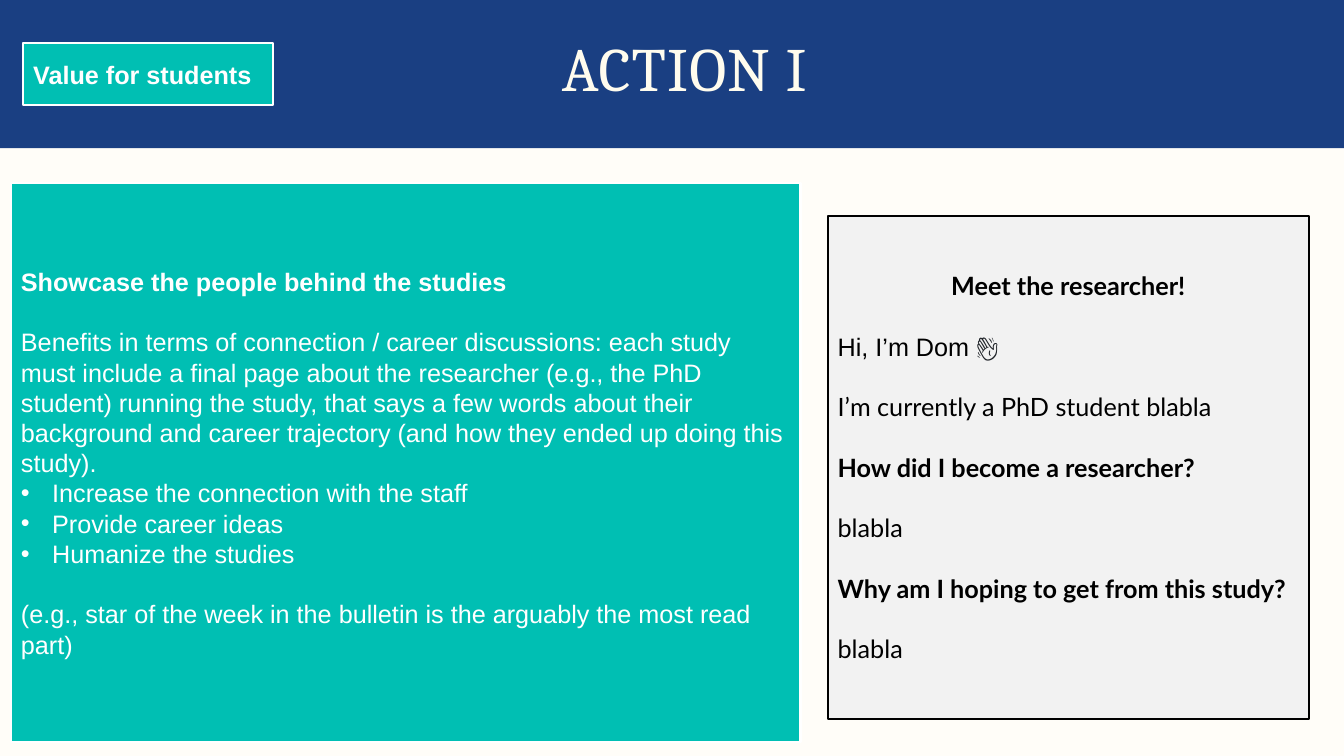
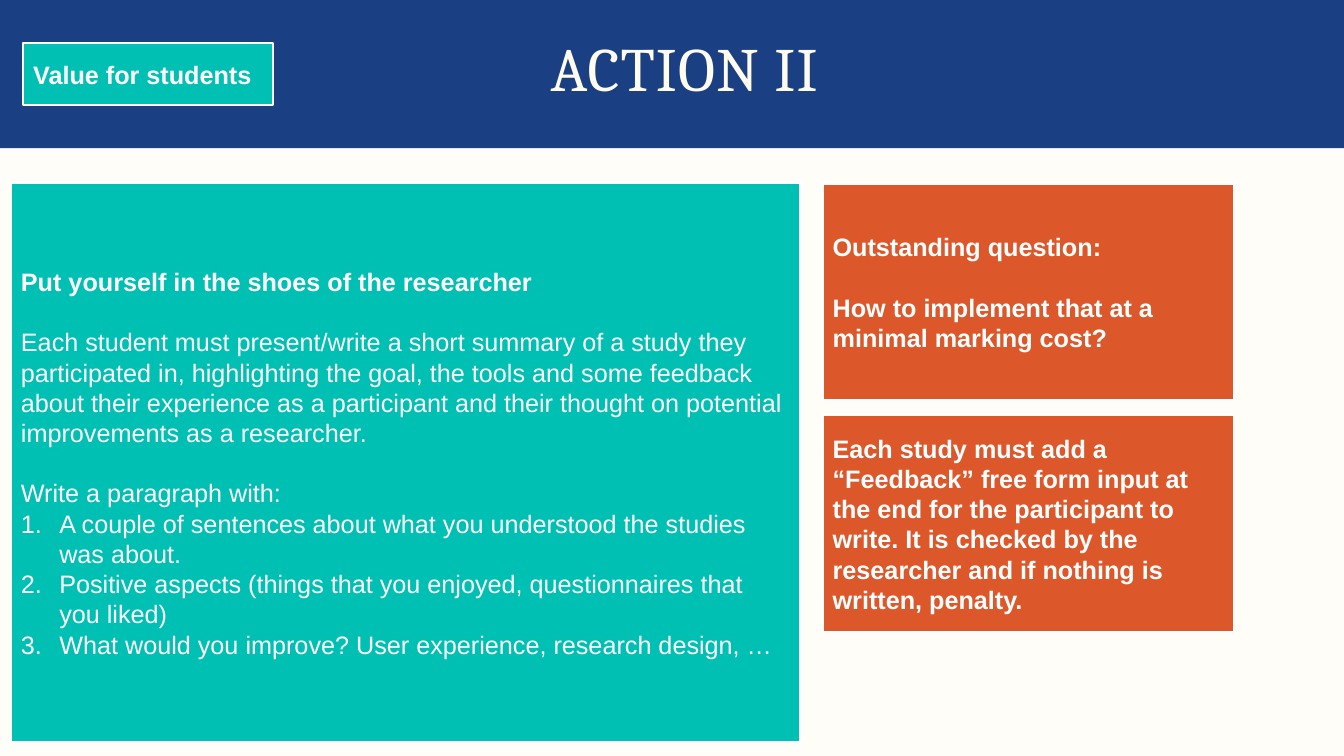
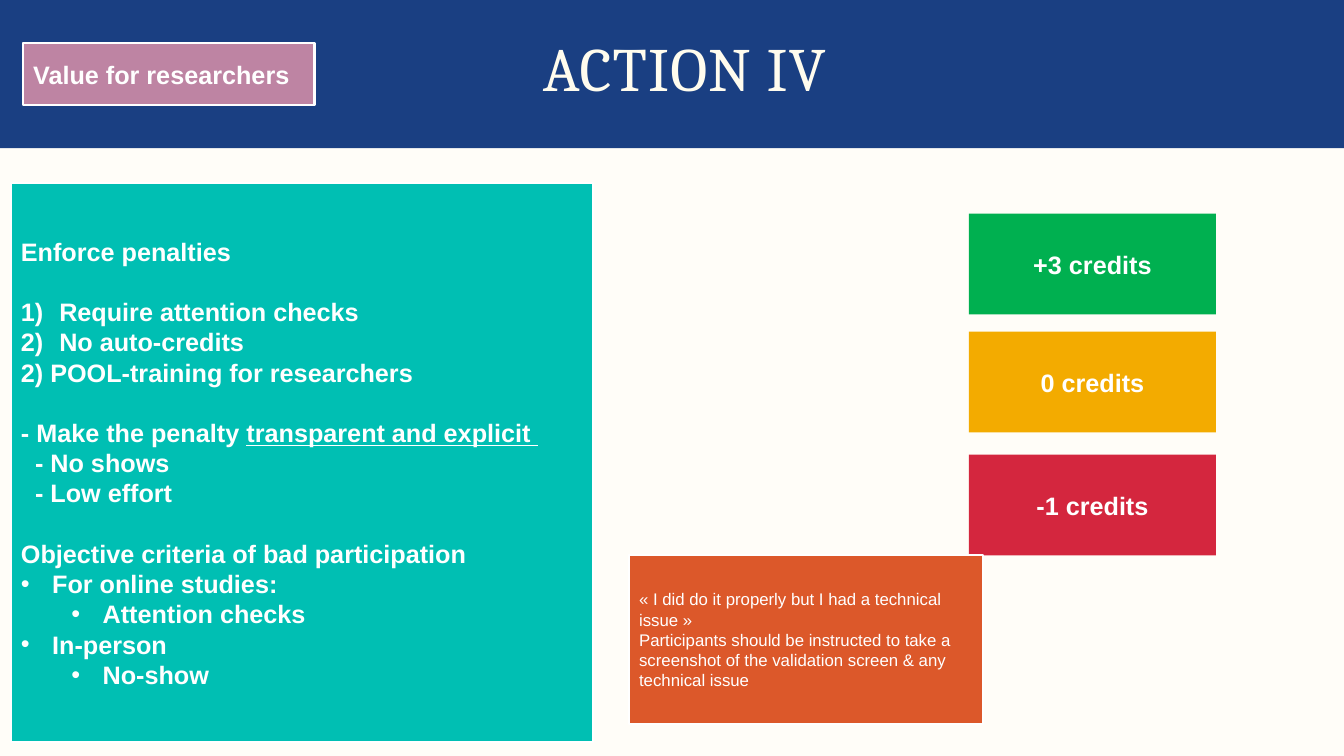
from pptx import Presentation
from pptx.dml.color import RGBColor as Rgb
from pptx.enum.shapes import MSO_SHAPE as Shape
from pptx.enum.text import MSO_ANCHOR as Anchor, PP_ALIGN as Align
from pptx.oxml.ns import qn
from pptx.util import Inches, Pt
from lxml.etree import SubElement

HUES = {
    "page": "FFFDF8", "band": "1A3F82", "title": "FFFCEE", "teal": "00BFB3",
    "mauve": "BE84A3", "rust": "DC582A", "pale": "F2F2F2", "green": "00B050",
    "amber": "F3AB00", "red": "D4263E", "white": "FFFFFF", "black": "000000",
    "ink": "1F2328",
}


def hue(name):
    return Rgb.from_string(HUES[name])


def add_run(para, text, size=18, font="Arial", color="white", bold=False,
            under=False, track=0):
    run = para.add_run()
    run.text = text
    run.font.size = Pt(size)
    run.font.name = font
    run.font.bold = bold
    run.font.color.rgb = hue(color)
    if under:
        run.font.underline = True
    if track:
        run._r.get_or_add_rPr().set("spc", str(track))


def say(frame, text, align=Align.LEFT, lead=1.2, gap=False, mark=None,
        left=0, hang=0, level=0, size=18, tail=None, **style):
    first = not frame.paragraphs[0].runs
    para = frame.paragraphs[0] if first else frame.add_paragraph()
    para.alignment = align
    para.level = level
    para.line_spacing = Pt(size * lead) if lead > 1 else lead
    para.space_before = Pt(size * lead if gap else 0)
    props = para._p.get_or_add_pPr()
    props.set("marL", str(Inches(left)))
    props.set("indent", str(-Inches(hang)))
    if mark == "•":
        SubElement(props, qn("a:buFont")).set("typeface", "Arial")
        SubElement(props, qn("a:buChar")).set("char", mark)
    elif mark:
        SubElement(props, qn("a:buFont")).set("typeface", "+mj-lt")
        SubElement(props, qn("a:buAutoNum")).set("type", mark)
    add_run(para, text, size=size, **style)
    if tail:
        add_run(para, tail[0], **{"size": size, **style, **tail[1]})


class Deck:
    def __init__(self):
        self.prs = Presentation()
        self.prs.slide_width = Inches(13.33)
        self.prs.slide_height = Inches(7.5)
        back = self.prs.slide_master.background.fill
        back.solid()
        back.fore_color.rgb = hue("page")
        self.slide = None

    def page(self, title, tag, wide=2.48, fill="teal"):
        self.slide = self.prs.slides.add_slide(self.prs.slide_layouts[6])
        self.box((0, 0, 13.33, 1.47), "band", edge=None)
        self.head(title)
        self.box((0.23, 0.43, wide, 0.61), fill, [(tag, BOLD)])

    def head(self, text):
        area = map(Inches, (0.86, 0.33, 11.86, 0.85))
        frame = self.slide.shapes.add_textbox(*area).text_frame
        frame.word_wrap = True
        say(frame, text, align=Align.CENTER, lead=0.9, size=44,
            font="Cambria", color="title", track=80)

    def box(self, area, fill, items=(), edge="white", **base):
        shape = self.slide.shapes.add_shape(Shape.RECTANGLE, *map(Inches, area))
        shape.shadow.inherit = False
        shape.fill.solid()
        shape.fill.fore_color.rgb = hue(fill)
        if edge:
            shape.line.color.rgb = hue(edge)
            shape.line.width = Pt(1.5)
        else:
            shape.line.fill.background()
        frame = shape.text_frame
        frame.word_wrap = True
        frame.vertical_anchor = Anchor.MIDDLE
        for text, style in items:
            say(frame, text, **{**base, **style})

    def main(self, items, wide=7.83, **base):
        self.box((0.11, 1.82, wide, 5.54), "teal", items, **base)


BOLD = {"bold": True}
GAP = {"gap": True}
DOT = {"mark": "•", "left": 0.31, "hang": 0.31}
SUB = {**DOT, "left": 0.81, "level": 1}
NUM = {"mark": "arabicPeriod", "left": 0.38, "hang": 0.38}
PAREN = {**NUM, "mark": "arabicParenR"}
DASH = {"left": 0.14}


def first(deck):
    deck.page("ACTION I", "Value for students")
    deck.main([
        ("Showcase the people behind the studies", BOLD),
        ("Benefits in terms of connection / career discussions: each study "
         "must include a final page about the researcher (e.g., the PhD "
         "student) running the study, that says a few words about their "
         "background and career trajectory (and how they ended up doing this "
         "study).", GAP),
        ("Increase the connection with the staff", DOT),
        ("Provide career ideas", DOT),
        ("Humanize the studies", DOT),
        ("(e.g., star of the week in the bulletin is the arguably the most "
         "read part)", GAP),
    ])
    wave = ("👋", {"font": "Lato", "color": "ink", "bold": True})
    deck.box((8.21, 2.14, 4.77, 4.99), "pale", [
        ("Meet the researcher!", {**BOLD, "align": Align.CENTER}),
        ("Hi, I’m Dom ", {**GAP, "font": "Arial", "tail": wave}),
        ("I’m currently a PhD student blabla", GAP),
        ("How did I become a researcher?", {**GAP, **BOLD}),
        ("blabla", GAP),
        ("Why am I hoping to get from this study?", {**GAP, **BOLD}),
        ("blabla", GAP),
    ], edge="black", font="Lato", color="black")


def second(deck):
    deck.page("ACTION II", "Value for students")
    deck.main([
        ("Put yourself in the shoes of the researcher", BOLD),
        ("Each student must present/write a short summary of a study they "
         "participated in, highlighting the goal, the tools and some feedback "
         "about their experience as a participant and their thought on "
         "potential improvements as a researcher.", GAP),
        ("Write a paragraph with:", GAP),
        ("A couple of sentences about what you understood the studies was "
         "about.", NUM),
        ("Positive aspects (things that you enjoyed, questionnaires that you "
         "liked)", NUM),
        ("What would you improve? User experience, research design, …", NUM),
    ])
    cards = [
        [("Outstanding question:", {}),
         ("How to implement that at a minimal marking cost?", GAP)],
        [("Each study must add a “Feedback” free form input at the end for "
          "the participant to write. It is checked by the researcher and if "
          "nothing is written, penalty.", {})],
    ]
    for row, items in enumerate(cards):
        deck.box((8.16, 1.82 + 2.3 * row, 4.08, 2.15), "rust", items, bold=True)


def third(deck):
    deck.page("ACTION IV", "Value for researchers", 2.89, "mauve")
    deck.main([
        ("Enforce penalties", {}),
        ("Require attention checks", {**PAREN, **GAP}),
        ("No auto-credits", PAREN),
        ("2) POOL-training for researchers", {}),
        ("- Make the penalty ",
         {**GAP, "tail": ("transparent and explicit ", {"under": True})}),
        ("- No shows", DASH),
        ("- Low effort", DASH),
        ("Objective criteria of bad participation", GAP),
        ("For online studies:", DOT),
        ("Attention checks", SUB),
        ("In-person", DOT),
        ("No-show", SUB),
    ], wide=5.77, bold=True)
    marks = [("+3 credits", "green", 2.12), ("0 credits", "amber", 3.29),
             ("-1 credits", "red", 4.51)]
    for text, fill, top in marks:
        deck.box((9.61, top, 2.45, 1), fill, [(text, BOLD)], edge=None,
                 align=Align.CENTER)
    deck.box((6.24, 5.51, 3.51, 1.67), "rust", [
        ("« I did do it properly but I had a technical issue »", {}),
        ("Participants should be instructed to take a screenshot of the "
         "validation screen & any technical issue", {}),
    ], size=12)


def main():
    deck = Deck()
    for build in (first, second, third):
        build(deck)
    deck.prs.save("out.pptx")


if __name__ == "__main__":
    main()
